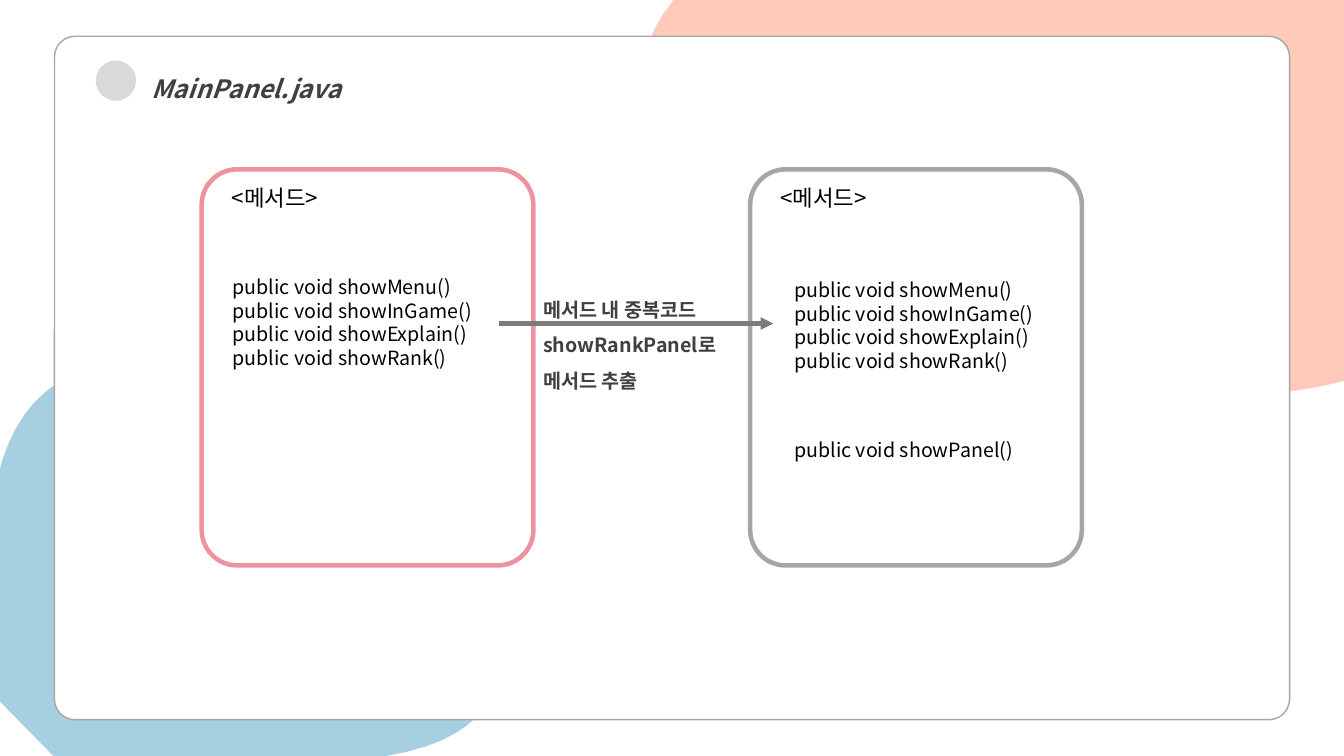
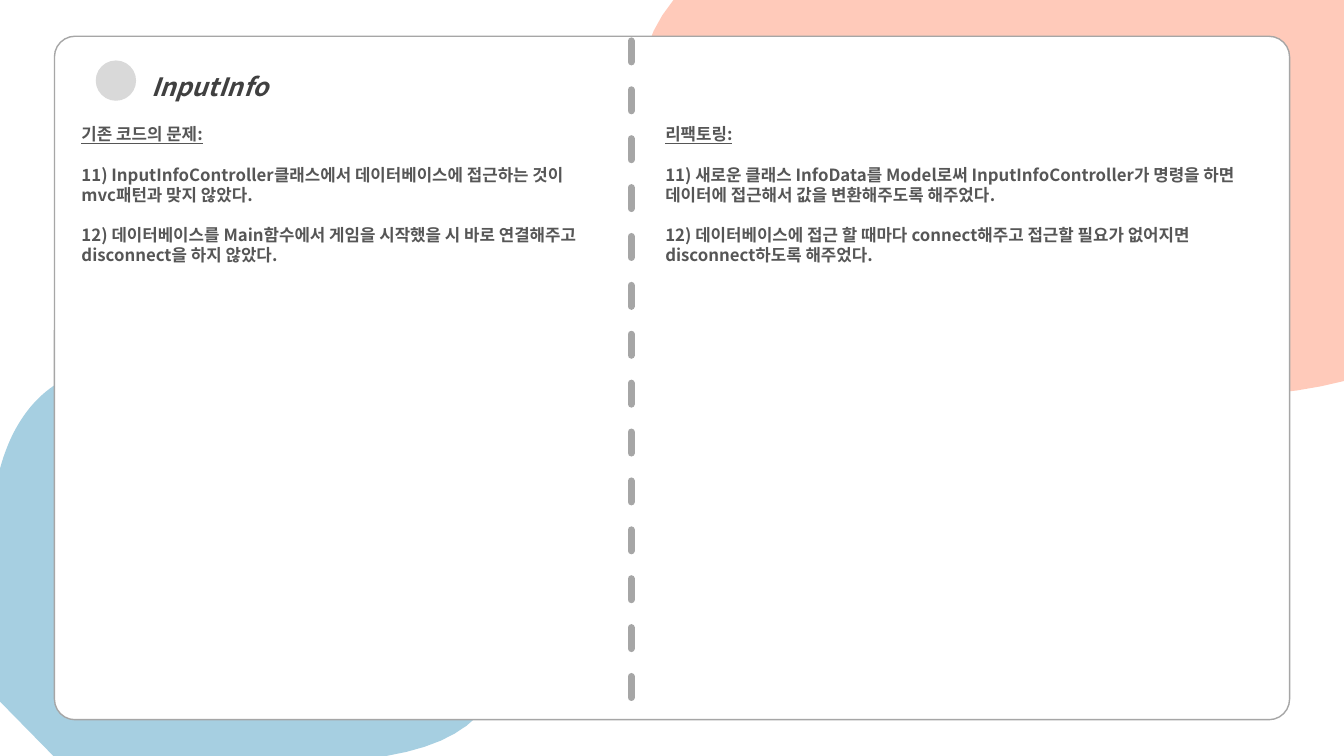
import pptx
import pptx.dml.color
import pptx.enum.dml
import pptx.enum.shapes
import pptx.enum.text
import pptx.oxml.ns
import pptx.util
from lxml import etree
from pptx.util import Inches

FONT = "Noto Sans CJK KR"
CORAL, SKY, ROSE = "FFCABA", "A6CFE1", "EE929D"
WHITE, BLACK, DOT, BORDER, ARROW = "FFFFFF", "000000", "D9D9D9", "A6A6A6", "7C7C7C"
HEADING, BODY = "404040", "565656"
SHAPE = pptx.enum.shapes.MSO_SHAPE
STRAIGHT = pptx.enum.shapes.MSO_CONNECTOR.STRAIGHT
CURVE_STEPS = 40

CORAL_BLOB = [(13.33, 0), (13.33, 3.78), ((10.32, 4.57), (5.04, 2), (6.68, 0))]
SKY_BLOB = [(1.37, 3.61), ((3.44, 3.67), (6.68, 7.03), (3.83, 7.5)), (0.53, 7.5),
            (0, 6.96), (0, 4.65), ((0.21, 3.88), (0.73, 3.59), (1.37, 3.61))]

SHOW_METHODS = ["public void showMenu()", "public void showInGame()",
                "public void showExplain()", "public void showRank()"]


def rgb(colour):
    """Turn a hex string into a colour."""
    return pptx.dml.color.RGBColor.from_string(colour)


def qn(tag):
    """Return the qualified form of a prefixed tag."""
    return pptx.oxml.ns.qn(tag)


def paint(shape, fill=None, line=None, width=1):
    """Set the fill and outline of a shape and drop its shadow."""
    shape.shadow.inherit = False
    if fill:
        shape.fill.solid()
        shape.fill.fore_color.rgb = rgb(fill)
    else:
        shape.fill.background()
    if line:
        shape.line.color.rgb = rgb(line)
        shape.line.width = pptx.util.Pt(width)
    else:
        shape.line.fill.background()


def style(paragraph, size, colour, bold=False, italic=False, underline=False):
    """Set the font of a whole paragraph."""
    font = paragraph.font
    font.size = pptx.util.Pt(size)
    font.bold, font.italic, font.underline = bold, italic, underline
    font.color.rgb = rgb(colour)
    font.name = FONT
    properties = paragraph._p.pPr.find(qn("a:defRPr"))
    etree.SubElement(properties, qn("a:ea")).set("typeface", FONT)


def add_text(slide, box, lines, size, colour, bold=False, spacing=None):
    """Place a wrapped text box and return its paragraphs."""
    frame = slide.shapes.add_textbox(*map(Inches, box)).text_frame
    frame.word_wrap = True
    frame.text = "\n".join(lines)
    for paragraph in frame.paragraphs:
        style(paragraph, size, colour, bold)
        if spacing:
            paragraph.line_spacing = spacing
    return frame.paragraphs


def add_line(slide, start, end, colour, width):
    """Draw a straight line without a shadow."""
    line = slide.shapes.add_connector(STRAIGHT, *map(Inches, start + end))
    line.line.color.rgb = rgb(colour)
    line.line.width = pptx.util.Pt(width)
    etree.SubElement(line._element.spPr, qn("a:effectLst"))
    return line.line


def curve_points(start, control_1, control_2, end):
    """Sample a cubic curve after its start point."""
    points = []
    for step in range(1, CURVE_STEPS + 1):
        t = step / CURVE_STEPS
        weights = ((1 - t) ** 3, 3 * t * (1 - t) ** 2, 3 * t * t * (1 - t), t ** 3)
        points.append(tuple(
            sum(w * c for w, c in zip(weights, axis))
            for axis in zip(start, control_1, control_2, end)))
    return points


def add_blob(slide, outline, colour):
    """Draw a closed outline made of points and cubic curves."""
    points = [outline[0]]
    for part in outline[1:]:
        points += curve_points(points[-1], *part) if len(part) == 3 else [part]
    emu = [(Inches(x), Inches(y)) for x, y in points]
    builder = slide.shapes.build_freeform(*emu[0])
    builder.add_line_segments(emu[1:], close=True)
    paint(builder.convert_to_shape(), colour)


def add_rounded(slide, box, radius, fill, line, width):
    """Draw a rounded rectangle."""
    card = slide.shapes.add_shape(SHAPE.ROUNDED_RECTANGLE, *map(Inches, box))
    card.adjustments[0] = radius
    paint(card, fill, line, width)


def add_page(deck, heading, heading_top):
    """Add a slide with the shared backdrop, card, dot and title."""
    slide = deck.slides.add_slide(deck.slide_layouts[5])
    add_blob(slide, CORAL_BLOB, CORAL)
    add_blob(slide, SKY_BLOB, SKY)
    add_rounded(slide, (0.54, 0.36, 12.25, 6.78), 0.03, WHITE, BORDER, 1)
    dot = slide.shapes.add_shape(SHAPE.OVAL, *map(Inches, (0.95, 0.6, 0.4, 0.4)))
    paint(dot, DOT)

    title = slide.shapes.title
    title.left, title.top, title.width, title.height = map(
        Inches, (1.4, heading_top, 6.03, 0.5))
    frame = title.text_frame
    frame.text = heading
    frame.word_wrap = True
    frame.auto_size = pptx.enum.text.MSO_AUTO_SIZE.NONE
    frame.vertical_anchor = pptx.enum.text.MSO_ANCHOR.TOP
    paragraph = frame.paragraphs[0]
    paragraph.alignment = pptx.enum.text.PP_ALIGN.LEFT
    paragraph.line_spacing = 1.5
    style(paragraph, 18, HEADING, bold=True, italic=True)
    slide.shapes._spTree.append(title._element)
    return slide


def add_method_panel(slide, left, top, colour, groups):
    """Draw an outlined panel with its label and groups of methods."""
    add_rounded(slide, (left, top, 3.29, 3.93), 0.107, None, colour, 3.25)
    add_text(slide, (left + 0.2, top + 0.1, 1.4, 0.37), ["<메서드>"], 16, BLACK)
    for x, y, methods in groups:
        height = 0.1 + 0.235 * len(methods)
        add_text(slide, (left + x, top + y, 2.69, height), methods, 14, BLACK)


def add_method_slide(deck):
    """Build the slide that compares methods before and after extraction."""
    slide = add_page(deck, "MainPanel.java", 0.53)
    add_method_panel(slide, 2, 1.68, ROSE, [(0.21, 1, SHOW_METHODS)])
    add_method_panel(slide, 7.44, 1.68, BORDER, [
        (0.34, 1.03, SHOW_METHODS), (0.34, 2.61, ["public void showPanel()"])])
    arrow = add_line(slide, (4.95, 3.21), (7.67, 3.21), ARROW, 3)
    etree.SubElement(arrow._get_or_add_ln(), qn("a:tailEnd")).set("type", "triangle")
    add_text(slide, (5.29, 2.79, 3.84, 1.12),
             ["메서드 내 중복코드", "showRankPanel로", "메서드 추출"],
             14, HEADING, bold=True, spacing=1.5)


def add_notes_column(slide, left, width, heading, items):
    """Place an underlined heading above spaced items."""
    paragraphs = add_text(slide, (left, 1.18, width, 1.51), [heading, *items],
                          12, BODY, bold=True)
    paragraphs[0].font.underline = True
    for paragraph in paragraphs[1:]:
        paragraph.space_before = pptx.util.Pt(14.5)


def add_refactoring_slide(deck):
    """Build the slide that sets problems beside their refactoring."""
    slide = add_page(deck, "InputInfo", 0.51)
    add_notes_column(slide, 0.71, 5.29, "기존 코드의 문제:", [
        "11) InputInfoController클래스에서 데이터베이스에 접근하는 것이 mvc패턴과 맞지 않았다.",
        "12) 데이터베이스를 Main함수에서 게임을 시작했을 시 바로 연결해주고 disconnect을 하지 않았다."])
    add_notes_column(slide, 6.5, 6.05, "리팩토링:", [
        "11) 새로운 클래스 InfoData를 Model로써 InputInfoController가 명령을 하면 "
        "데이터에 접근해서 값을 변환해주도록 해주었다.",
        "12) 데이터베이스에 접근 할 때마다 connect해주고 접근할 필요가 없어지면 "
        "disconnect하도록 해주었다."])
    divider = add_line(slide, (6.26, 6.92), (6.26, 0.33), BORDER, 5)
    divider.dash_style = pptx.enum.dml.MSO_LINE.DASH
    divider._get_or_add_ln().set("cap", "rnd")


def main():
    """Build and save the deck."""
    deck = pptx.Presentation()
    deck.slide_width, deck.slide_height = Inches(13.33), Inches(7.5)
    add_method_slide(deck)
    add_refactoring_slide(deck)
    deck.save("out.pptx")


if __name__ == "__main__":
    main()
